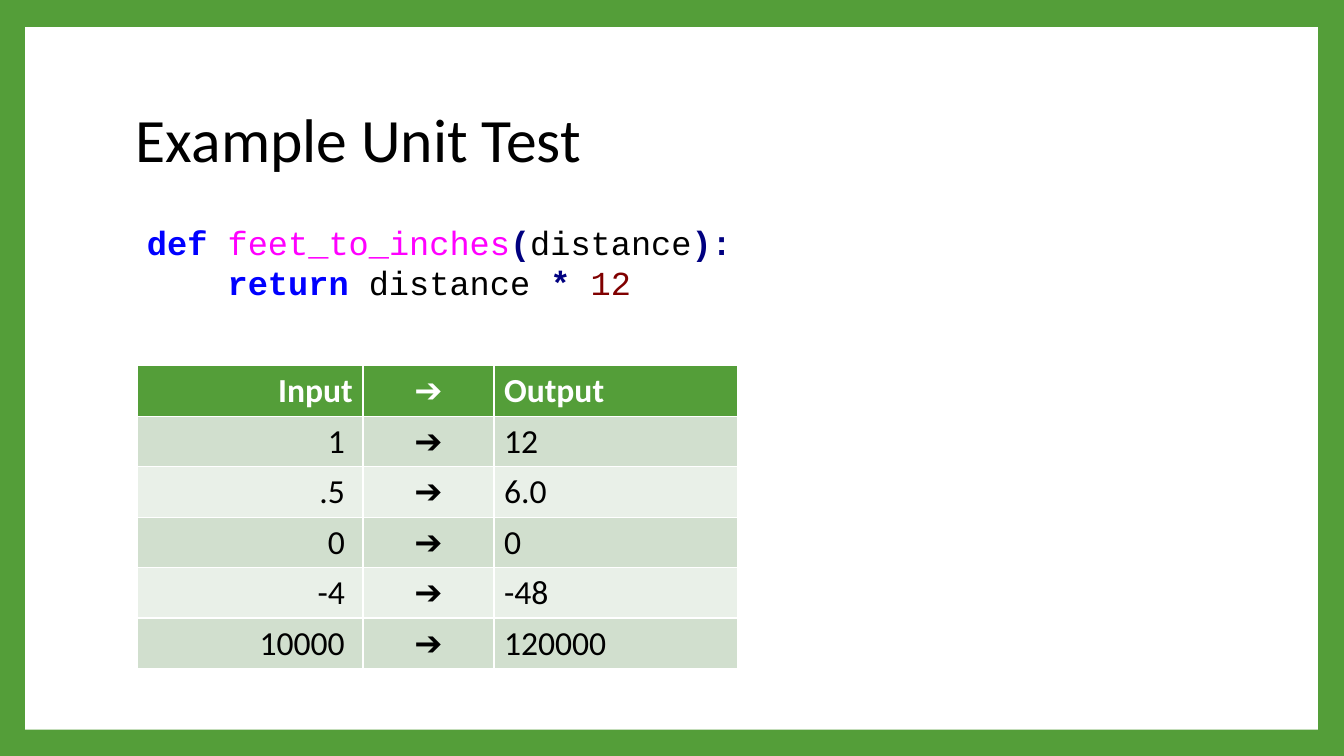
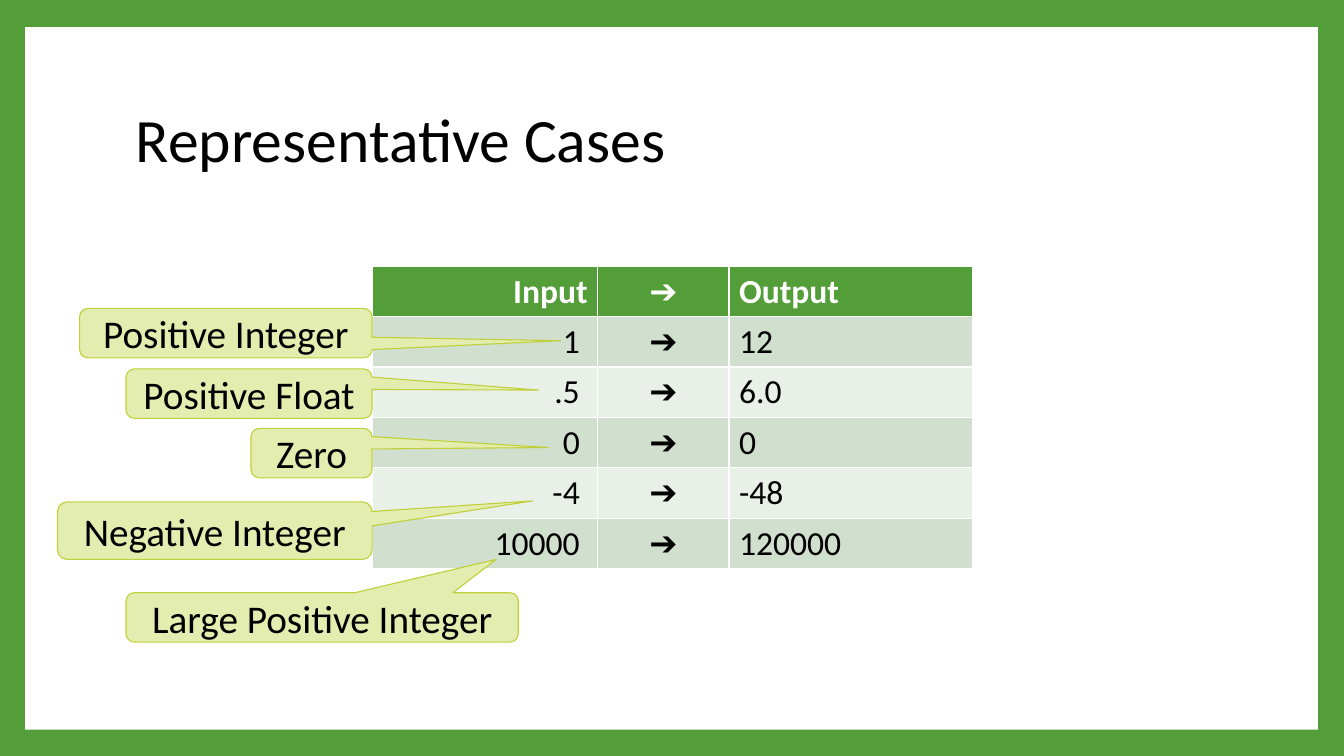
from pptx import Presentation
from pptx.dml.color import RGBColor
from pptx.enum.shapes import MSO_SHAPE
from pptx.enum.text import MSO_ANCHOR, PP_ALIGN
from pptx.util import Inches, Pt

RECT, CALLOUT = MSO_SHAPE.RECTANGLE, MSO_SHAPE.ROUNDED_RECTANGULAR_CALLOUT
MIDDLE = MSO_ANCHOR.MIDDLE
LEFT, CENTER, RIGHT = PP_ALIGN.LEFT, PP_ALIGN.CENTER, PP_ALIGN.RIGHT

# Shared look
WIDTH, HEIGHT = 13.33, 7.5
GREEN, WHITE, BLACK = "549E39", "FFFFFF", "000000"
BANDS = ("D1DFCE", "E9F0E8")
CALLOUT_FILL, CALLOUT_LINE = "E4EDB0", "C0CF3A"
BODY, MONO = "Calibri", "Courier New"
BLUE, PINK, NAVY, MAROON = "0000FF", "FF00FF", "000080", "800000"

# Content
TITLES = ("Example Unit Test", "Representative Cases")
CODE = [  # lines of (text, colour, bold)
    [("def ", BLUE, True), ("feet_to_inches", PINK, False), ("(", NAVY, True),
     ("distance", BLACK, False), ("):", NAVY, True)],
    [("    ", BLACK, False), ("return", BLUE, True),
     (" distance ", BLACK, False), ("* ", NAVY, True), ("12", MAROON, False)],
]
CASES = [("Input", "Output"), ("1", "12"), (".5", "6.0"), ("0", "0"),
         ("-4", "-48"), ("10000", "120000")]
COLUMNS = [(2.24, RIGHT), (1.3, CENTER), (2.42, LEFT)]
ROW_HEIGHT = 0.5
TABLE_LEFT = 3.69  # callouts on the second slide end here
CALLOUTS = [  # text, right edge, top, width, height, pointer tip
    ("Positive Integer", TABLE_LEFT, 3.06, 2.9, 0.49, (5.56, 3.38)),
    ("Positive Float", TABLE_LEFT, 3.66, 2.44, 0.49, (5.34, 3.87)),
    ("Zero", TABLE_LEFT, 4.25, 1.2, 0.49, (5.44, 4.44)),
    ("Negative Integer", TABLE_LEFT, 4.98, 3.12, 0.57, (5.28, 4.97)),
    ("Large Positive Integer", 5.14, 5.88, 3.89, 0.49, (4.92, 5.55)),
]


def rgb(color):
    return RGBColor.from_string(color)


def box(*lengths):
    return [Inches(v) for v in lengths]


def style(font, size, color=BLACK, name=BODY, bold=False):
    font.size, font.name, font.bold = Pt(size), name, bold
    font.color.rgb = rgb(color)


def add_shape(s, kind, place, fill):
    sp = s.shapes.add_shape(kind, *box(*place))
    sp.shadow.inherit = False
    sp.fill.solid()
    sp.fill.fore_color.rgb = rgb(fill)
    return sp


def add_text_box(s, *place):
    tf = s.shapes.add_textbox(*box(*place)).text_frame
    tf.word_wrap = True
    return tf


def add_slide(prs, title):
    s = prs.slides.add_slide(prs.slide_layouts[6])
    s.background.fill.solid()
    s.background.fill.fore_color.rgb = rgb(GREEN)
    panel = add_shape(s, RECT, (0.25, 0.27, 12.82, 6.97), WHITE)
    panel.line.fill.background()
    tf = add_text_box(s, 1.25, 0.67, 10.8, 1.48)
    tf.vertical_anchor = MIDDLE
    p = tf.paragraphs[0]
    p.text, p.line_spacing = title, 0.9
    style(p.font, 44)
    return s


def add_code(s, left, top, width, height):
    tf = add_text_box(s, left, top, width, height)
    for i, line in enumerate(CODE):
        p = tf.add_paragraph() if i else tf.paragraphs[0]
        for text, color, bold in line:
            r = p.add_run()
            r.text = text
            style(r.font, 24, color, MONO, bold)


def add_cases(s, left, top):
    width = sum(w for w, _ in COLUMNS)
    table = s.shapes.add_table(len(CASES), len(COLUMNS), *box(
        left, top, width, ROW_HEIGHT * len(CASES))).table
    for column, (w, _) in zip(table.columns, COLUMNS):
        column.width = Inches(w)
    for i, (given, expected) in enumerate(CASES):
        header = i == 0
        for j, text in enumerate((given, "➔", expected)):
            cell = table.cell(i, j)
            cell.fill.solid()
            cell.fill.fore_color.rgb = rgb(GREEN if header else BANDS[(i - 1) % 2])
            if j == 0 and not header:
                cell.margin_right = Inches(0.18)  # numbers sit in from the edge
            p = cell.text_frame.paragraphs[0]
            p.text, p.alignment = text, COLUMNS[j][1]
            style(p.font, 24, WHITE if header else BLACK, bold=header)


def add_callout(s, text, right, top, width, height, tip):
    left = right - width
    sp = add_shape(s, CALLOUT, (left, top, width, height), CALLOUT_FILL)
    sp.line.color.rgb = rgb(CALLOUT_LINE)
    sp.line.width = Pt(0.79)
    # Pointer tip as a share of the size, from the centre
    sp.adjustments[0] = (tip[0] - left) / width - 0.5
    sp.adjustments[1] = (tip[1] - top) / height - 0.5
    tf = sp.text_frame
    tf.word_wrap, tf.vertical_anchor = True, MIDDLE
    p = tf.paragraphs[0]
    p.text, p.alignment = text, CENTER
    style(p.font, 28)


def main():
    prs = Presentation()
    prs.slide_width, prs.slide_height = box(WIDTH, HEIGHT)
    example, cases = [add_slide(prs, title) for title in TITLES]

    add_code(example, 1.36, 2.15, 6.67, 0.91)
    add_cases(example, 1.36, 3.63)

    add_cases(cases, TABLE_LEFT, 2.64)
    for callout in CALLOUTS:
        add_callout(cases, *callout)
    prs.save("out.pptx")


if __name__ == "__main__":
    main()
